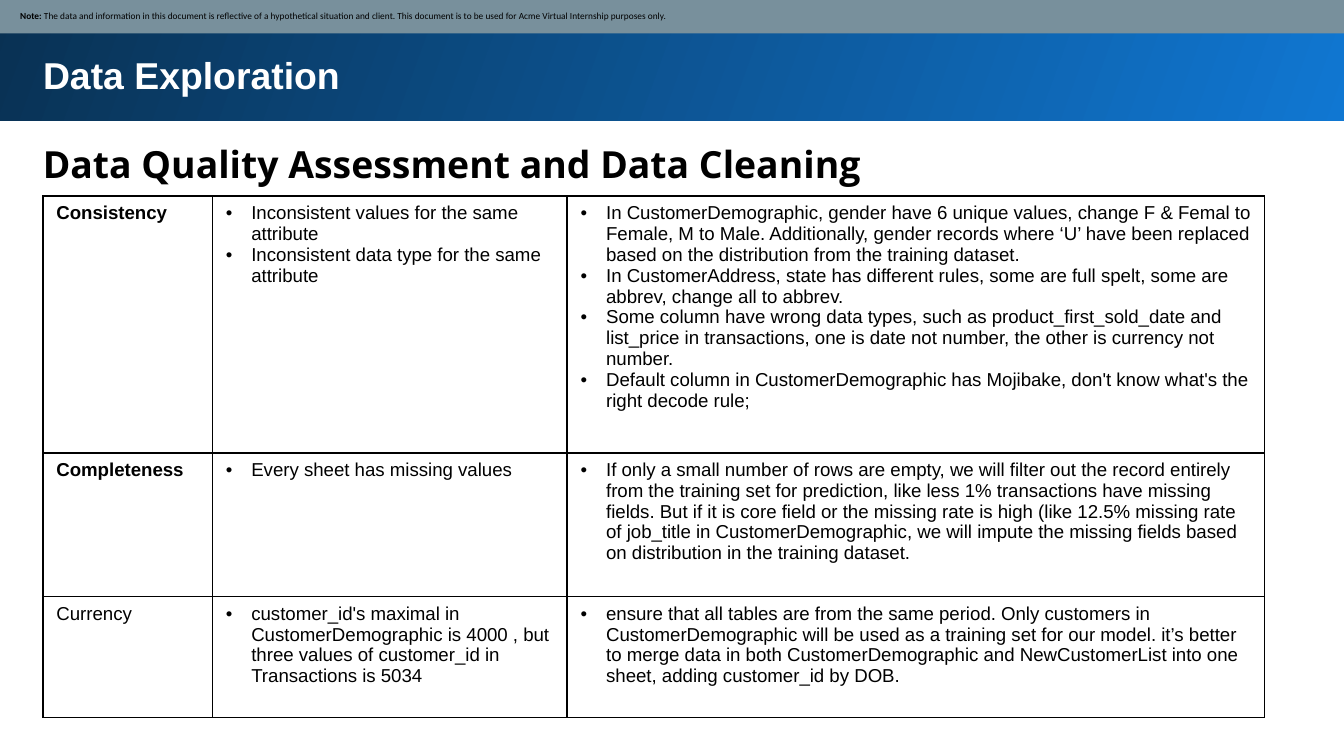
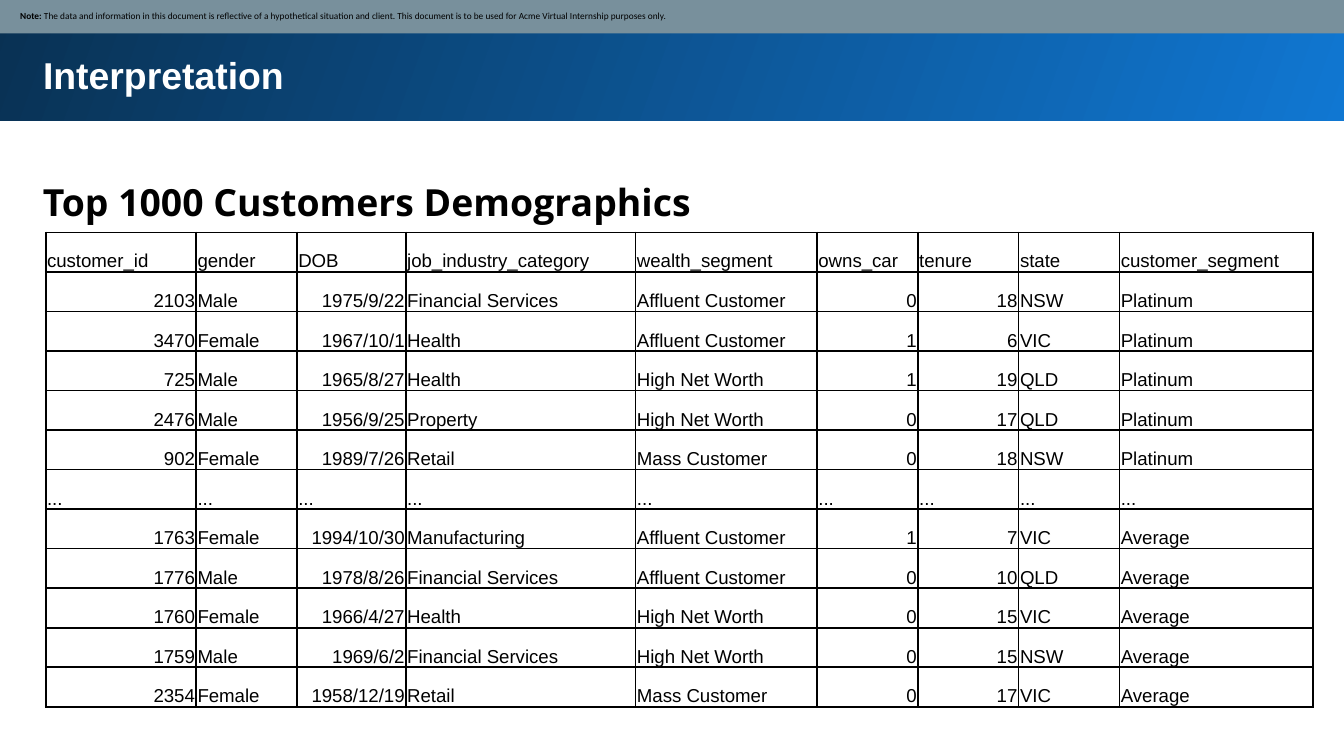
from lxml.etree import SubElement
from pptx import Presentation
from pptx.dml.color import RGBColor
from pptx.enum.shapes import MSO_SHAPE
from pptx.enum.text import MSO_ANCHOR, MSO_AUTO_SIZE, PP_ALIGN
from pptx.oxml.ns import qn
from pptx.util import Inches, Pt

BLACK, WHITE = "000000", "FFFFFF"
BRIGHT_BLUE, DARK_BLUE, SLATE = "1077D2", "093153", "78909C"
SLIDE_WIDTH = 10
SLIDE_HEIGHT = SLIDE_WIDTH * 9 / 16
TEXT_LEFT, TEXT_WIDTH = 0.22, 9.37
NOTE = ("Note: ", "The data and information in this document is reflective of a "
        "hypothetical situation and client. This document is to be used for "
        "Acme Virtual Internship purposes only.")

# Each row: label, label in bold, issues, actions
QUALITY_ROWS = [
    ("Consistency", True,
     ["Inconsistent values for the same attribute",
      "Inconsistent data type for the same attribute"],
     ["In CustomerDemographic, gender have 6 unique values, change F & Femal to Female, "
      "M to Male. Additionally, gender records where ‘U’ have been replaced based on the "
      "distribution from the training dataset.",
      "In CustomerAddress, state has different rules, some are full spelt, some are abbrev, "
      "change all to abbrev.",
      "Some column have wrong data types, such as product_first_sold_date and list_price in "
      "transactions, one is date not number, the other is currency not number.",
      "Default column in CustomerDemographic has Mojibake, don't know what's the right "
      "decode rule;"]),
    ("Completeness", True,
     ["Every sheet has missing values"],
     ["If only a small number of rows are empty, we will filter out the record entirely from "
      "the training set for prediction, like less 1% transactions have missing fields. But if "
      "it is core field or the missing rate is high (like 12.5% missing rate of job_title in "
      "CustomerDemographic, we will impute the missing fields based on distribution in the "
      "training dataset."]),
    ("Currency", False,
     ["customer_id's maximal in CustomerDemographic is 4000 , but three values of "
      "customer_id in Transactions is 5034"],
     ["ensure that all tables are from the same period. Only customers in "
      "CustomerDemographic will be used as a training set for our model. it’s better to merge "
      "data in both CustomerDemographic and NewCustomerList into one sheet, adding "
      "customer_id by DOB."]),
]

CUSTOMER_ROWS = [
    ("customer_id", "gender", "DOB", "job_industry_category", "wealth_segment",
     "owns_car", "tenure", "state", "customer_segment"),
    ("2103", "Male", "1975/9/22", "Financial Services", "Affluent Customer",
     "0", "18", "NSW", "Platinum"),
    ("3470", "Female", "1967/10/1", "Health", "Affluent Customer", "1", "6", "VIC", "Platinum"),
    ("725", "Male", "1965/8/27", "Health", "High Net Worth", "1", "19", "QLD", "Platinum"),
    ("2476", "Male", "1956/9/25", "Property", "High Net Worth", "0", "17", "QLD", "Platinum"),
    ("902", "Female", "1989/7/26", "Retail", "Mass Customer", "0", "18", "NSW", "Platinum"),
    ("...",) * 9,
    ("1763", "Female", "1994/10/30", "Manufacturing", "Affluent Customer",
     "1", "7", "VIC", "Average"),
    ("1776", "Male", "1978/8/26", "Financial Services", "Affluent Customer",
     "0", "10", "QLD", "Average"),
    ("1760", "Female", "1966/4/27", "Health", "High Net Worth", "0", "15", "VIC", "Average"),
    ("1759", "Male", "1969/6/2", "Financial Services", "High Net Worth",
     "0", "15", "NSW", "Average"),
    ("2354", "Female", "1958/12/19", "Retail", "Mass Customer", "0", "17", "VIC", "Average"),
]


def rgb(value):
    return RGBColor.from_string(value)


def format_run(r, size, font, color=BLACK, bold=False):
    r.font.size = Pt(size)
    r.font.name = font
    r.font.bold = bold
    r.font.color.rgb = rgb(color)


def set_margins(target, left, top, right, bottom):
    target.margin_left, target.margin_top = Inches(left), Inches(top)
    target.margin_right, target.margin_bottom = Inches(right), Inches(bottom)


def add_band(slide, left, top, width, height):
    sp = slide.shapes.add_shape(MSO_SHAPE.RECTANGLE, Inches(left), Inches(top),
                                Inches(width), Inches(height))
    sp.shadow.inherit = False
    sp.line.fill.background()
    return sp


def fill_heading(sp, text, font, color):
    tf = sp.text_frame
    tf.text = text
    tf.word_wrap = True
    tf.auto_size = MSO_AUTO_SIZE.SHAPE_TO_FIT_TEXT
    tf.vertical_anchor = MSO_ANCHOR.TOP
    set_margins(tf, 0.1, 0.1, 0.1, 0.1)
    p = tf.paragraphs[0]
    p.alignment = PP_ALIGN.LEFT
    format_run(p.runs[0], 20, font, color, True)
    return p


def add_title_band(slide, title, title_height):
    band = add_band(slide, -0.02, -0.02, 10.05, 0.92)
    band.fill.gradient()
    band.fill.gradient_angle = 160
    for stop, color in zip(band.fill.gradient_stops, (BRIGHT_BLUE, DARK_BLUE)):
        stop.color.rgb = rgb(color)
    # Bring the title in front of its band
    sp = slide.shapes.title
    slide.shapes._spTree.append(sp._element)
    sp.left, sp.top = Inches(TEXT_LEFT), Inches(0.29)
    sp.width, sp.height = Inches(TEXT_WIDTH), Inches(title_height)
    fill_heading(sp, title, "Arial", WHITE)


def add_subtitle(slide, text, top):
    sp = slide.shapes.add_textbox(Inches(TEXT_LEFT), Inches(top),
                                  Inches(TEXT_WIDTH), Inches(0.56))
    fill_heading(sp, text, "Open Sans", BLACK).line_spacing = 1.15


def add_note_band(slide):
    band = add_band(slide, -0.01, -0.01, 10.03, 0.26)
    band.fill.solid()
    band.fill.fore_color.rgb = rgb(SLATE)
    tf = band.text_frame
    tf.word_wrap = True
    tf.vertical_anchor = MSO_ANCHOR.MIDDLE
    set_margins(tf, 0.16, 0.05, 0.05, 0.05)
    p = tf.paragraphs[0]
    p.alignment = PP_ALIGN.LEFT
    for text, bold in zip(NOTE, (True, False)):
        r = p.add_run()
        r.text = text
        format_run(r, 5, "Calibri", bold=bold)


def add_slide(prs, title, title_height, subtitle, subtitle_top):
    slide = prs.slides.add_slide(prs.slide_layouts[5])
    add_title_band(slide, title, title_height)
    add_subtitle(slide, subtitle, subtitle_top)
    add_note_band(slide)
    return slide


def add_grid(slide, left, top, col_widths, row_heights):
    """Add an unfilled table with thin black borders."""
    table = slide.shapes.add_table(
        len(row_heights), len(col_widths), Inches(left), Inches(top),
        Inches(sum(col_widths)), Inches(sum(row_heights))).table
    table.first_row = table.horz_banding = False
    for col, width in zip(table.columns, col_widths):
        col.width = Inches(width)
    for row, height in zip(table.rows, row_heights):
        row.height = Inches(height)
    for cell in table.iter_cells():
        tc_pr = cell._tc.get_or_add_tcPr()
        for side in ("a:lnL", "a:lnR", "a:lnT", "a:lnB"):
            ln = SubElement(tc_pr, qn(side), w=str(Pt(1)))
            SubElement(SubElement(ln, qn("a:solidFill")), qn("a:srgbClr"), val=BLACK)
        cell.fill.background()
    return table


def fill_cell(cell, lines, bold=False, bulleted=False):
    cell.text_frame.text = "\n".join(lines)
    for p in cell.text_frame.paragraphs:
        format_run(p.runs[0], 10, "Arial", bold=bold)
        if bulleted:
            p_pr = p._p.get_or_add_pPr()
            p_pr.set("marL", str(Inches(0.19)))
            p_pr.set("indent", str(-Inches(0.19)))
            SubElement(p_pr, qn("a:buFont"), typeface="Arial")
            SubElement(p_pr, qn("a:buChar"), char="•")


def add_quality_table(slide, left, top):
    table = add_grid(slide, left, top, (1.26, 2.64, 5.19), (1.91, 1.07, 0.9))
    for i, (label, bold, issues, actions) in enumerate(QUALITY_ROWS):
        fill_cell(table.cell(i, 0), [label], bold=bold)
        fill_cell(table.cell(i, 1), issues, bulleted=True)
        fill_cell(table.cell(i, 2), actions, bulleted=True)


def add_customer_table(slide, left, top, height):
    count = len(CUSTOMER_ROWS)
    table = add_grid(slide, left, top,
                     (1.12, 0.75, 0.81, 1.71, 1.35, 0.75, 0.75, 0.75, 1.44),
                     [height / count] * count)
    for i, values in enumerate(CUSTOMER_ROWS):
        for j, value in enumerate(values):
            cell = table.cell(i, j)
            fill_cell(cell, [value])
            set_margins(cell, 0.01, 0.01, 0.01, 0)
            cell.vertical_anchor = MSO_ANCHOR.BOTTOM
            # Numbers and dates align right
            if value[0].isdigit():
                cell.text_frame.paragraphs[0].alignment = PP_ALIGN.RIGHT


def main():
    prs = Presentation()
    prs.slide_width, prs.slide_height = Inches(SLIDE_WIDTH), Inches(SLIDE_HEIGHT)

    # Data quality
    slide = add_slide(prs, "Data Exploration", 0.51,
                      "Data Quality Assessment and Data Cleaning", 0.9)
    add_quality_table(slide, 0.32, 1.46)

    # Top customers
    slide = add_slide(prs, "Interpretation", 0.83, "Top 1000 Customers Demographics", 1.18)
    add_customer_table(slide, 0.34, 1.73, 3.53)

    prs.save("out.pptx")


if __name__ == "__main__":
    main()
